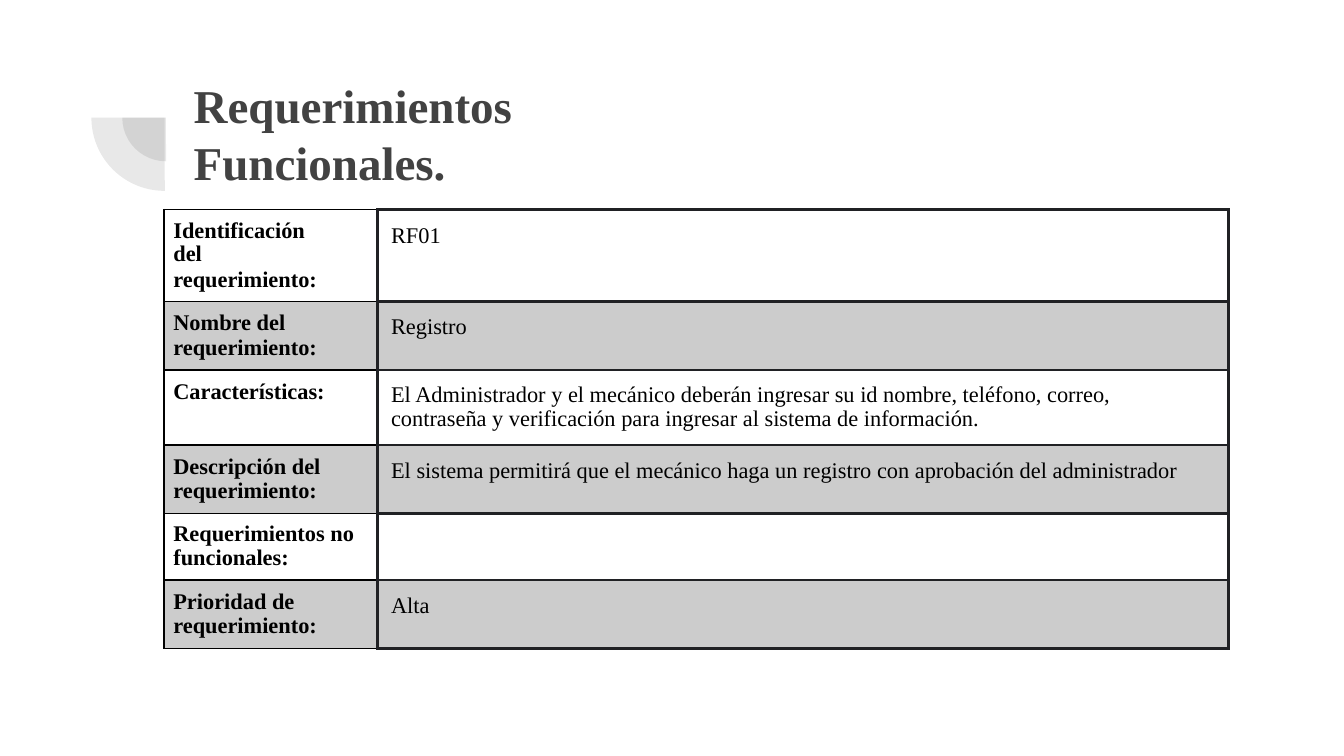
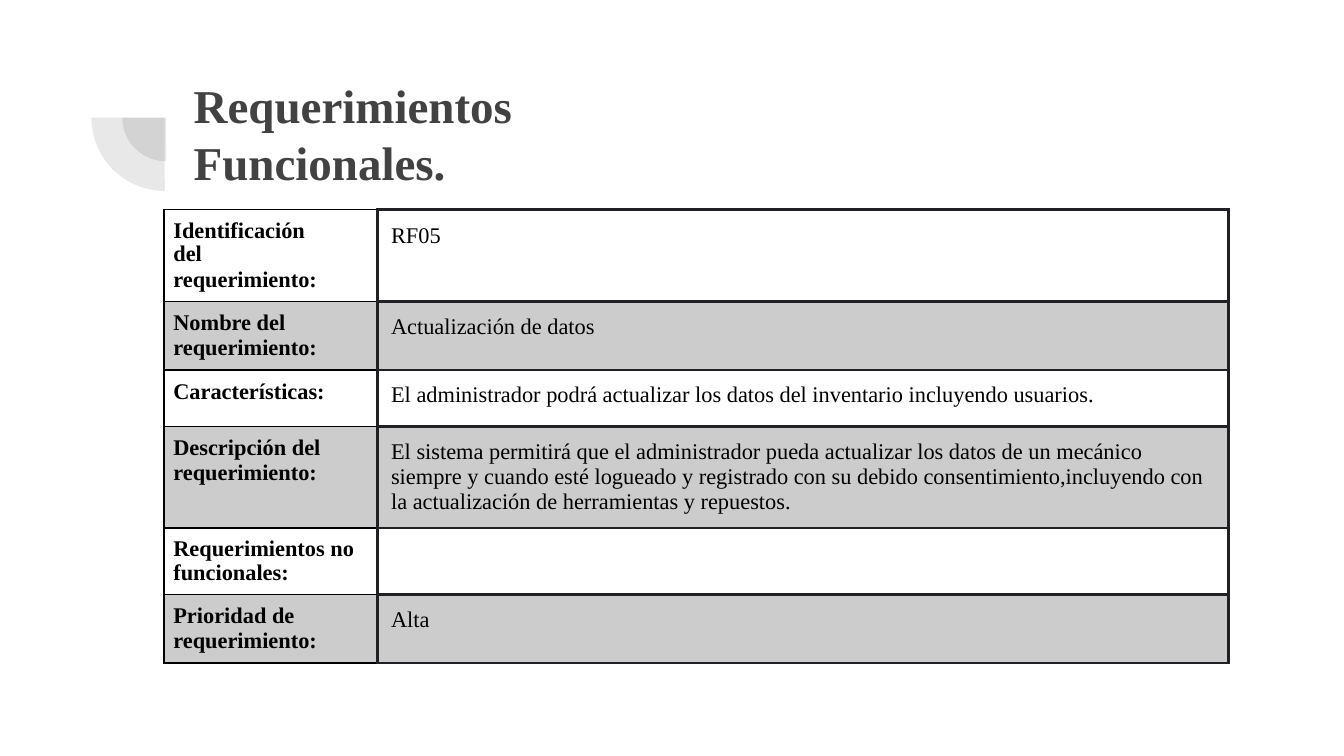
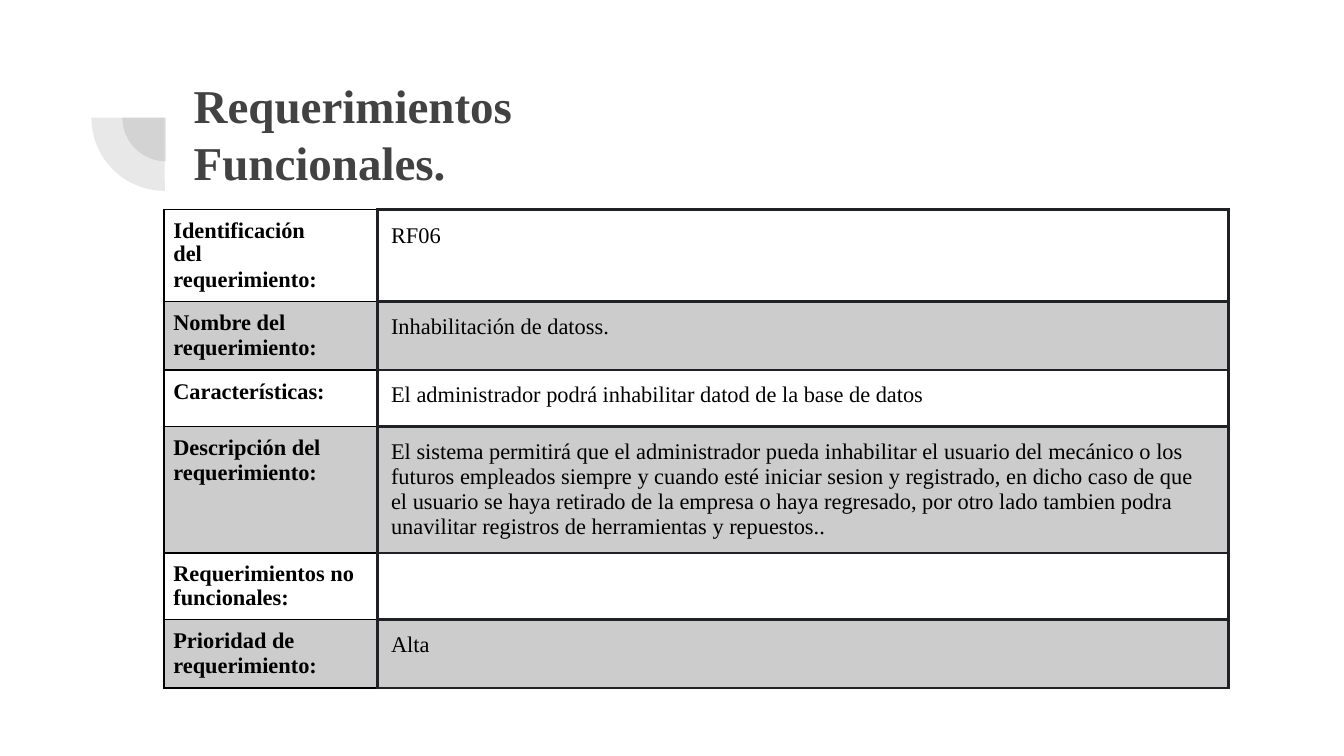
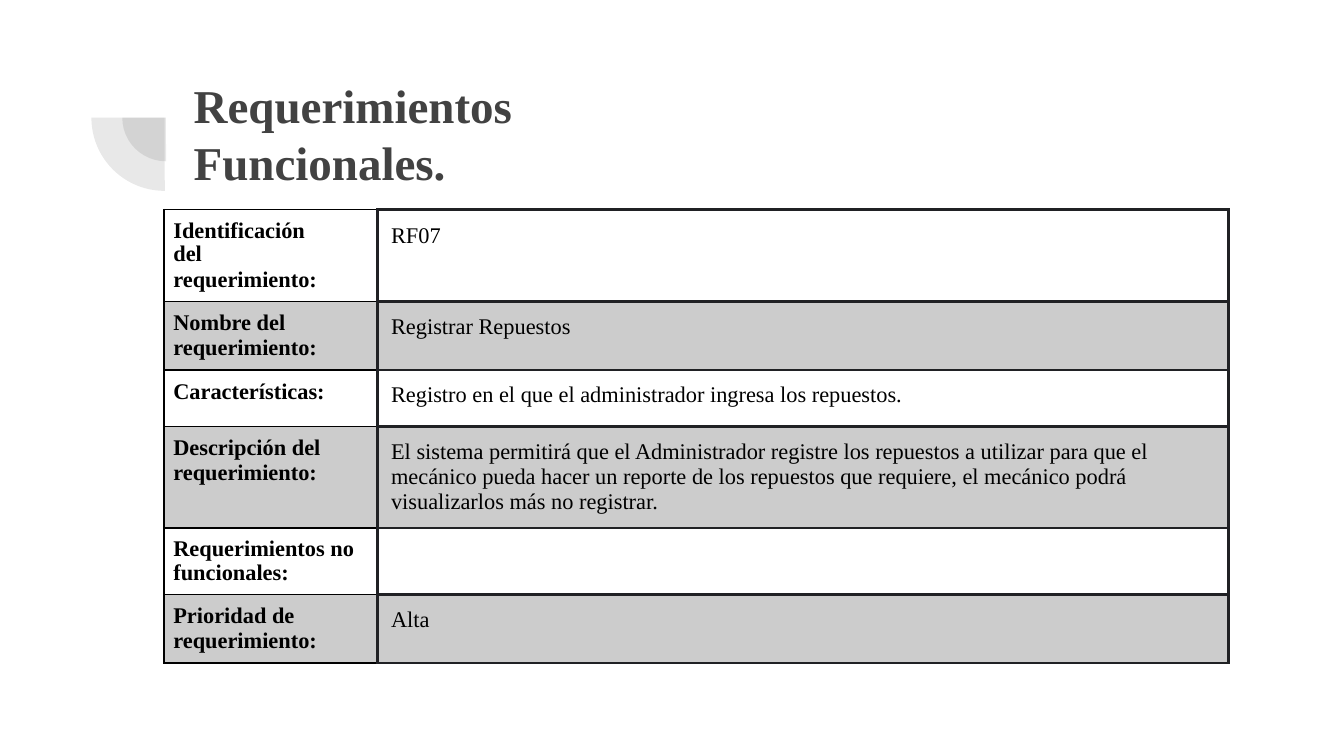
from dataclasses import dataclass

from lxml.etree import SubElement as Sub
from pptx import Presentation
from pptx.dml.color import RGBColor as Rgb
from pptx.enum.shapes import MSO_SHAPE as Form
from pptx.enum.text import MSO_ANCHOR as Anchor, MSO_AUTO_SIZE as Fit, PP_ALIGN as Align
from pptx.oxml.ns import qn
from pptx.util import Pt

PX = 9144  # one px is a hundredth of an inch


@dataclass(frozen=True)
class Theme:
    face: str = "Times New Roman"
    head: str = "424242"
    ink: str = "000000"
    rule: str = "202124"
    band: str = "CCCCCC"
    big: float = 25.2
    small: float = 12
    thin: float = 1
    thick: float = 1.5
    tight: float = 0.96


T = Theme()
TITLE = "Requerimientos\nFuncionales."
TITLE_BOX = (134, 47, 769, 109)
PIE_BOX = (68, 33, 109)
GRID_BOX = (122, 156)
COLS = (159, 633)
ROW = 42

# Row labels with the line spacing of the label and of its value
LABELS = [
    ("Identificación del\nrequerimiento:", T.tight, 1),
    ("Nombre del\nrequerimiento:", 1, 1),
    ("Características:", 1, T.tight),
    ("Descripción del requerimiento:", 1, 1),
    ("Requerimientos no funcionales:", T.tight, 1),
    ("Prioridad de\nrequerimiento:", 1, 1),
]

# Right indents of the first paragraph, by row and column
INDENTS = {(0, 0): 30, (2, 1): 15}

# Values of each requirement, in the order of the labels
NEEDS = [
    ("RF01", "Registro",
     "El Administrador y el mecánico deberán ingresar su id nombre, teléfono, correo, "
     "contraseña y verificación para ingresar al sistema de información.",
     "El sistema permitirá que el mecánico haga un registro con aprobación del administrador",
     "", "Alta"),
    ("RF05", "Actualización de datos",
     "El administrador podrá actualizar los datos del inventario incluyendo usuarios.",
     "El sistema permitirá que el administrador pueda actualizar los datos de un mecánico "
     "siempre y cuando esté logueado y registrado con su debido consentimiento,incluyendo "
     "con la actualización de herramientas y repuestos.",
     "", "Alta"),
    ("RF06", "Inhabilitación de datoss.",
     "El administrador podrá inhabilitar datod de la base de datos",
     "El sistema permitirá que el administrador pueda inhabilitar el usuario del mecánico "
     "o los futuros empleados siempre y cuando esté iniciar sesion y registrado, en dicho "
     "caso de que el usuario se haya retirado de la empresa o haya regresado, por otro lado "
     "tambien podra unavilitar registros de herramientas y repuestos..",
     "", "Alta"),
    ("RF07", "Registrar Repuestos",
     "Registro en el que el administrador ingresa los repuestos.",
     "El sistema permitirá que el Administrador registre los repuestos a utilizar para que "
     "el mecánico pueda hacer un reporte de los repuestos que requiere, el mecánico podrá "
     "visualizarlos más no registrar.",
     "", "Alta"),
]


def apply(item, **style):
    for key, value in style.items():
        setattr(item, key, value)


def emu(*sizes):
    return [size * PX for size in sizes]


def style_text(frame, size, color, bold, space):
    for para in frame.paragraphs:
        para.line_spacing = space
        for part in (para, *para.runs):
            apply(part.font, name=T.face, size=Pt(size), bold=bold)
            part.font.color.rgb = Rgb.from_string(color)


def add_pie(slide, left, top, size):
    pie = slide.shapes.add_shape(Form.PIE, *emu(left, top, size, size))
    pie.rotation = 270
    pie.adjustments[0], pie.adjustments[1] = 107.928, 162
    pie.shadow.inherit = False
    pie.line.fill.background()
    pie.fill.solid()
    pie.fill.fore_color.rgb = Rgb.from_string(T.head)
    tint = next(pie.element.spPr.iter(qn("a:srgbClr")))
    Sub(tint, qn("a:alpha"), val="12000")
    return pie


def set_layout(layout, slide):
    """Place the shared title box and the two quarter rings on the layout."""
    left, top, width, height = emu(*TITLE_BOX)
    apply(layout.placeholders[0], left=left, top=top, width=width, height=height)
    x, y, size = PIE_BOX
    for pie in (add_pie(slide, x + 23, y + 22, 65), add_pie(slide, x, y, size)):
        layout.shapes.element.append(pie.element)


def add_title(slide):
    frame = slide.shapes.title.text_frame
    frame.text = TITLE
    pad = 10 * PX
    apply(frame, word_wrap=True, auto_size=Fit.NONE, vertical_anchor=Anchor.TOP,
          margin_left=pad, margin_right=pad, margin_top=pad, margin_bottom=pad)
    for para in frame.paragraphs:
        apply(para, alignment=Align.LEFT, space_before=Pt(0))
    style_text(frame, T.big, T.head, True, 1)


def add_edge(cell, side, color, width):
    line = Sub(cell._tc.get_or_add_tcPr(), qn("a:ln" + side), w=str(Pt(width)))
    Sub(Sub(line, qn("a:solidFill")), qn("a:srgbClr"), val=color)


def fill_cell(cell, text, label, band, space):
    cell.text = text
    pad = (7 if label else 10) * PX
    apply(cell, vertical_anchor=Anchor.TOP, margin_left=pad, margin_right=pad,
          margin_top=pad, margin_bottom=pad)
    style_text(cell.text_frame, T.small, T.ink, label, space)
    # Labels have thin black edges, save where they meet the values
    for side in "LRTB":
        thin = label and side != "R"
        add_edge(cell, side, *((T.ink, T.thin) if thin else (T.rule, T.thick)))
    if band:
        cell.fill.solid()
        cell.fill.fore_color.rgb = Rgb.from_string(T.band)
    else:
        cell.fill.background()


def add_grid(slide, left, top, values):
    size = emu(left, top, sum(COLS), ROW * len(LABELS))
    table = slide.shapes.add_table(len(LABELS), len(COLS), *size).table
    apply(table, first_row=False, horz_banding=False)
    for col, width in zip(table.columns, emu(*COLS)):
        col.width = width
    for row, ((label, near, far), value) in enumerate(zip(LABELS, values)):
        band = row % 2 == 1
        fill_cell(table.cell(row, 0), label, True, band, near)
        fill_cell(table.cell(row, 1), value, False, band, far)
    for spot, indent in INDENTS.items():
        para = table.cell(*spot).text_frame.paragraphs[0]
        para._p.get_or_add_pPr().set("marR", str(indent * PX))
    apply(table.cell(0, 0).text_frame.paragraphs[1], space_before=Pt(0.3), line_spacing=1)


def main():
    deck = Presentation()
    deck.slide_width = 1000 * PX
    deck.slide_height = deck.slide_width * 9 // 16
    layout = deck.slide_layouts[5]
    for index, values in enumerate(NEEDS):
        slide = deck.slides.add_slide(layout)
        if index == 0:
            set_layout(layout, slide)
        add_title(slide)
        add_grid(slide, *GRID_BOX, values)
    deck.save("out.pptx")


if __name__ == "__main__":
    main()
